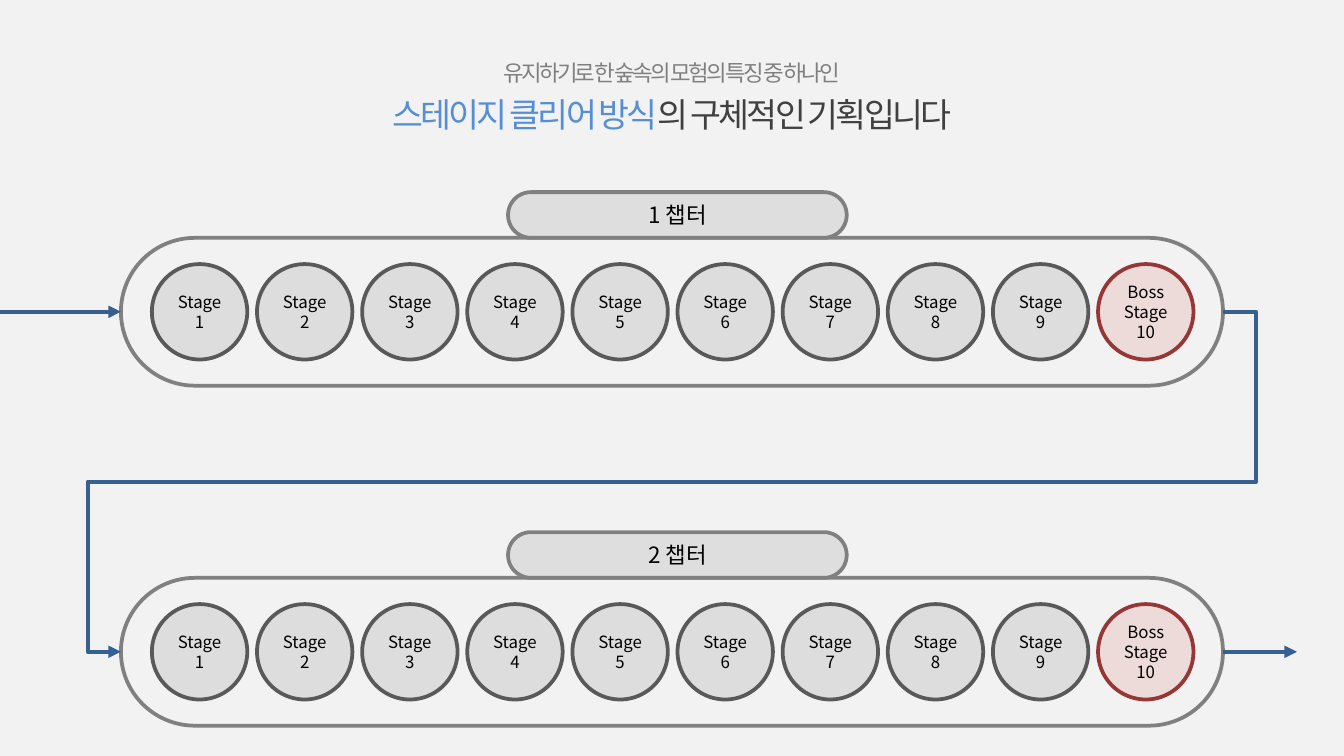
from lxml import etree
from pptx import Presentation
from pptx.dml.color import RGBColor
from pptx.enum.shapes import MSO_CONNECTOR, MSO_SHAPE
from pptx.enum.text import MSO_ANCHOR, PP_ALIGN
from pptx.oxml.ns import qn
from pptx.util import Inches, Pt

ELBOW, STRAIGHT = MSO_CONNECTOR.ELBOW, MSO_CONNECTOR.STRAIGHT
OVAL, PILL = MSO_SHAPE.OVAL, MSO_SHAPE.ROUNDED_RECTANGLE
MIDDLE, CENTER = MSO_ANCHOR.MIDDLE, PP_ALIGN.CENTER
LEFT_SIDE, RIGHT_SIDE = 1, 3

THEME = {
    "font": "Noto Sans CJK KR",
    "background": "F2F2F2",
    "outline": 2,
    "arrow": {"color": "376092", "width": 2.25},
    "styles": {
        "track": {"fill": "F2F2F2", "opacity": 40, "line": "808080"},
        "stage": {"fill": "BFBFBF", "opacity": 40, "line": "595959"},
        "boss": {"fill": "E6B9B8", "opacity": 40, "line": "953735"},
        "label": {"fill": "D9D9D9", "opacity": 80, "line": "808080"},
    },
    "text": {
        "lead": {"size": 12, "color": "808080", "spacing": -150},
        "accent": {"size": 18, "color": "558ED5", "spacing": -150},
        "headline": {"size": 18, "color": "404040", "spacing": -150},
        "stage": {"size": 9, "color": "000000"},
        "label": {"size": 12, "color": "000000"},
    },
}

TITLE = [
    ("유지하기로 한 숲속의 모험의 특징 중 하나인\n", "lead"),
    ("스테이지 클리어 방식", "accent"),
    ("의 구체적인 기획입니다", "headline"),
]
CHAPTERS = ["1 챕터", "2 챕터"]
STAGES = [("Stage", str(number), "stage") for number in range(1, 10)]
STAGES.append(("Boss\nStage", "10", "boss"))

SLIDE_WIDTH = 10
SLIDE_HEIGHT = SLIDE_WIDTH * 9 / 16
TRACK_LEFT, TRACK_TOP, TRACK_WIDTH, TRACK_HEIGHT = 0.9, 1.77, 8.2, 1.1
CHAPTER_PITCH = 2.53
STAGE_LEFT, LAST_STAGE_LEFT, STAGE_SIZE = 1.13, 8.17, 0.71
STAGE_PITCH = (LAST_STAGE_LEFT - STAGE_LEFT) / (len(STAGES) - 1)
LABEL_LEFT, LABEL_WIDTH, LABEL_HEIGHT = 3.78, 2.52, 0.34
ARROW_START, ARROW_END, ELBOW_REACH = -0.28, 9.65, 0.25


def add_run(paragraph, text, style_name):
    style = THEME["text"][style_name]
    for index, line in enumerate(text.split("\n")):
        if index:
            paragraph.add_line_break()
            etree.SubElement(paragraph._p[-1], qn("a:rPr"), sz=str(style["size"] * 100))
        if line:
            run = paragraph.add_run()
            run.text = line
            for name, value in {"name": THEME["font"], "size": Pt(style["size"])}.items():
                setattr(run.font, name, value)
            run.font.color.rgb = RGBColor.from_string(style["color"])
            properties = run._r.get_or_add_rPr()
            etree.SubElement(properties, qn("a:ea"), typeface=THEME["font"])
            if "spacing" in style:
                properties.set("spc", str(style["spacing"]))


def write_text(shape, paragraphs, frame_format=None, line_spacing=None):
    frame = shape.text_frame
    settings = {"word_wrap": True, "vertical_anchor": MIDDLE, **(frame_format or {})}
    for name, value in settings.items():
        setattr(frame, name, value)
    for index, runs in enumerate(paragraphs):
        paragraph = frame.add_paragraph() if index else frame.paragraphs[0]
        paragraph.alignment = CENTER
        paragraph.line_spacing = line_spacing
        for text, style_name in runs:
            add_run(paragraph, text, style_name)


def add_shape(shapes, kind, box, style_name):
    style = THEME["styles"][style_name]
    shape = shapes.add_shape(kind, *map(Inches, box))
    shape.shadow.inherit = False
    if kind == PILL:
        shape.adjustments[0] = 0.5
    shape.fill.solid()
    shape.fill.fore_color.rgb = RGBColor.from_string(style["fill"])
    color = shape._element.spPr.find(qn("a:solidFill"))[0]
    etree.SubElement(color, qn("a:alpha"), val=str(style["opacity"] * 1000))
    shape.line.color.rgb = RGBColor.from_string(style["line"])
    shape.line.width = Pt(THEME["outline"])
    return shape


def add_chapter(slide, title, top):
    shapes = slide.shapes.add_group_shape().shapes
    track = add_shape(shapes, PILL, (TRACK_LEFT, top, TRACK_WIDTH, TRACK_HEIGHT), "track")
    stage_top = top + (TRACK_HEIGHT - STAGE_SIZE) / 2
    no_margins = {f"margin_{side}": 0 for side in ("left", "top", "right", "bottom")}
    for index, (name, number, style_name) in enumerate(STAGES):
        box = (STAGE_LEFT + index * STAGE_PITCH, stage_top, STAGE_SIZE, STAGE_SIZE)
        stage = add_shape(shapes, OVAL, box, style_name)
        write_text(stage, [[(name, "stage")], [(number, "stage")]], no_margins)
    box = (LABEL_LEFT, top - LABEL_HEIGHT, LABEL_WIDTH, LABEL_HEIGHT)
    write_text(add_shape(shapes, PILL, box, "label"), [[(title, "label")]])
    return track


def add_arrow(slide, kind, start, end):
    arrow = slide.shapes.add_connector(kind, *map(Inches, (*start, *end)))
    arrow.line.color.rgb = RGBColor.from_string(THEME["arrow"]["color"])
    arrow.line.width = Pt(THEME["arrow"]["width"])
    etree.SubElement(arrow.line._get_or_add_ln(), qn("a:tailEnd"), type="triangle")
    etree.SubElement(arrow._element.spPr, qn("a:effectLst"))
    return arrow


def route_around(arrow):
    reach = ELBOW_REACH / TRACK_WIDTH
    geometry = arrow._element.spPr.find(qn("a:prstGeom"))
    geometry.set("prst", "bentConnector5")
    guides = geometry.find(qn("a:avLst"))
    for index, ratio in enumerate((-reach, 0.5, 1 + reach), 1):
        formula = f"val {round(ratio * 100000)}"
        etree.SubElement(guides, qn("a:gd"), name=f"adj{index}", fmla=formula)


def main():
    presentation = Presentation()
    presentation.slide_width = Inches(SLIDE_WIDTH)
    presentation.slide_height = Inches(SLIDE_HEIGHT)
    slide = presentation.slides.add_slide(presentation.slide_layouts[6])
    slide.background.fill.solid()
    slide.background.fill.fore_color.rgb = RGBColor.from_string(THEME["background"])

    title = slide.shapes.add_textbox(*map(Inches, (0.5, 0.23, 9, 0.94)))
    write_text(title, [TITLE], line_spacing=1.2)

    tops = [TRACK_TOP + index * CHAPTER_PITCH for index in range(len(CHAPTERS))]
    first, second = [add_chapter(slide, name, top) for name, top in zip(CHAPTERS, tops)]
    first_y, second_y = [top + TRACK_HEIGHT / 2 for top in tops]
    track_right = TRACK_LEFT + TRACK_WIDTH

    bridge = add_arrow(slide, ELBOW, (track_right, first_y), (TRACK_LEFT, second_y))
    bridge.begin_connect(first, RIGHT_SIDE)
    bridge.end_connect(second, LEFT_SIDE)
    route_around(bridge)
    entry = add_arrow(slide, STRAIGHT, (ARROW_START, first_y), (TRACK_LEFT, first_y))
    entry.end_connect(first, LEFT_SIDE)
    departure = add_arrow(slide, STRAIGHT, (track_right, second_y), (ARROW_END, second_y))
    departure.begin_connect(second, RIGHT_SIDE)

    presentation.save("out.pptx")


if __name__ == "__main__":
    main()
